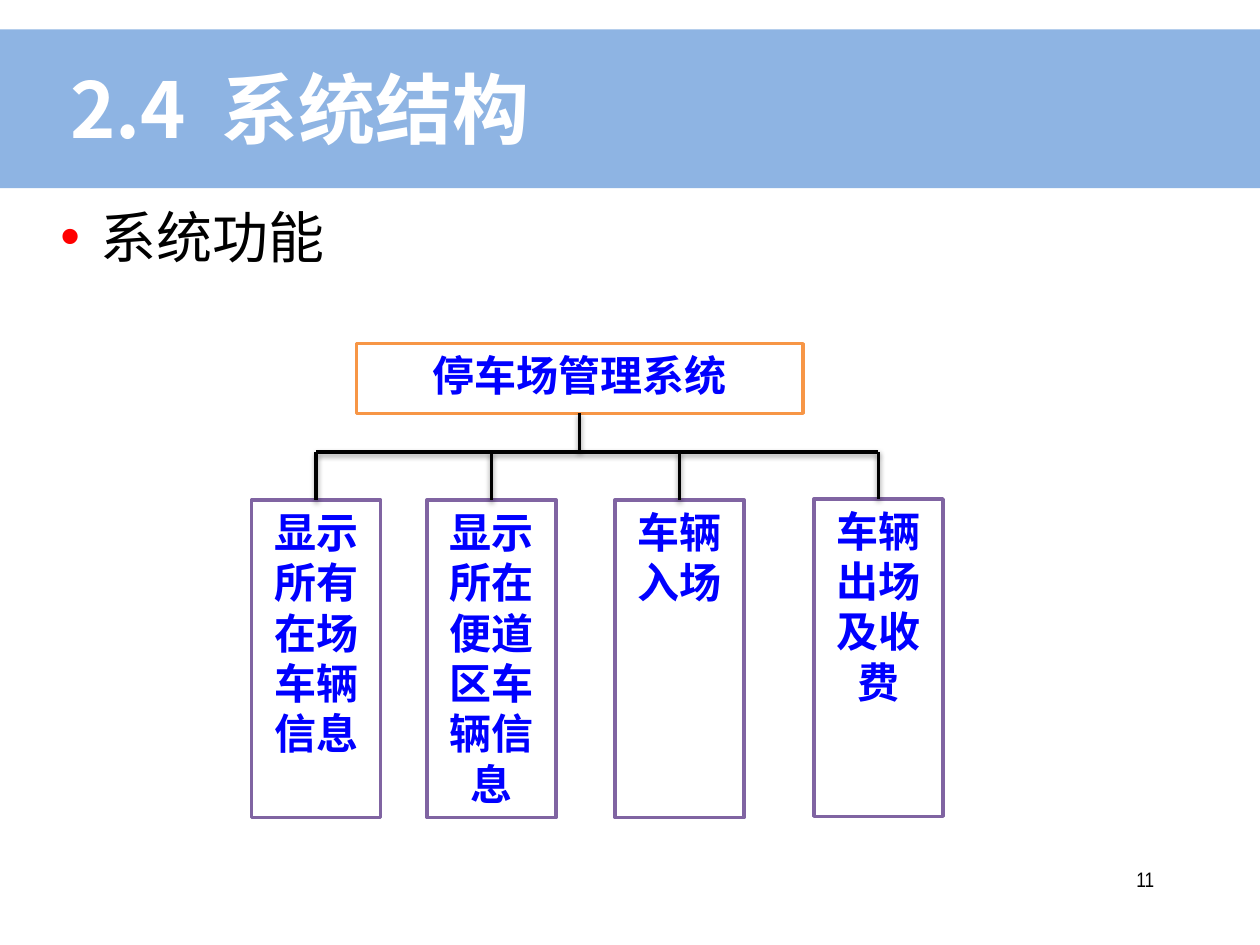
from lxml import etree
from pptx import Presentation
from pptx.dml.color import RGBColor
from pptx.enum import shapes, text
from pptx.oxml import ns
from pptx.util import Pt

WHITE = RGBColor(0xFF, 0xFF, 0xFF)
BLACK = RGBColor(0, 0, 0)
BLUE = RGBColor(0, 0, 0xFF)
BAND_BLUE = RGBColor(0x8E, 0xB4, 0xE3)
ORANGE = RGBColor(0xF7, 0x96, 0x46)
PURPLE = RGBColor(0x80, 0x64, 0xA2)
SANS = "Noto Sans CJK SC"
NARROW = "Arial Narrow"

prs = Presentation()
prs.slide_width, prs.slide_height = Pt(720), Pt(540)
slide = prs.slides.add_slide(prs.slide_layouts[6])


def add_block(left, top, width, height, fill=None, line=None):
    block = slide.shapes.add_shape(shapes.MSO_SHAPE.RECTANGLE, Pt(left), Pt(top), Pt(width), Pt(height))
    block.shadow.inherit = False
    block.fill.solid()
    block.fill.fore_color.rgb = fill
    if line is None:
        block.line.fill.background()
    else:
        block.line.color.rgb = line
        block.line.width = Pt(2)
    return block


def write(holder, parts, size, face, color, bold=False, align=text.PP_ALIGN.LEFT,
          anchor=text.MSO_ANCHOR.TOP):
    frame = holder.text_frame
    frame.word_wrap = True
    frame.vertical_anchor = anchor
    paragraph = frame.paragraphs[0]
    paragraph.alignment = align
    font = paragraph.font
    font.size, font.name, font.bold = Pt(size), face, bold
    font.color.rgb = color
    for part in parts:
        run = paragraph.add_run()
        run.text = part
        # East Asian glyphs take the same face
        etree.SubElement(run._r.get_or_add_rPr(), ns.qn("a:ea"), typeface=face)
    return paragraph


# Title band
add_block(0, 16.8, 720, 90.7, BAND_BLUE)
title = slide.shapes.add_textbox(Pt(33.8), Pt(16.6), Pt(612), Pt(90))
heading = write(title, ["2.4", " ", "系统结构"], 44, SANS, WHITE, True, anchor=text.MSO_ANCHOR.MIDDLE)
heading.runs[1]._r.rPr.set("spc", "1000")

# Bulleted topic
body = slide.shapes.add_textbox(Pt(28.1), Pt(112.3), Pt(652.3), Pt(376.6))
topic = write(body, ["系统功能"], 32, SANS, BLACK)
topic_props = topic._p.get_or_add_pPr()
topic_props.set("marL", str(Pt(23)))
topic_props.set("indent", str(Pt(-23)))
bullet_color = etree.Element(ns.qn("a:buClr"))
etree.SubElement(bullet_color, ns.qn("a:srgbClr"), val="FF0000")
bullet_font = etree.Element(ns.qn("a:buFont"), typeface="Arial")
bullet = etree.Element(ns.qn("a:buChar"), char="•")
for index, part in enumerate((bullet_color, bullet_font, bullet)):
    topic_props.insert(index, part)

# Page number
page = slide.shapes.add_textbox(Pt(609.8), Pt(491.8), Pt(56.2), Pt(36))
write(page, ["11"], 12, NARROW, BLACK, align=text.PP_ALIGN.RIGHT)

for holder in (title, body, page):
    frame = holder.text_frame
    frame.margin_left = frame.margin_right = Pt(6.5)
    frame.margin_top = frame.margin_bottom = Pt(3.2)

# Function tree: root, then (label, left, top) of each branch
BRANCH_WIDTH, BRANCH_HEIGHT = 73.8, 181.4
ROOT_CENTER, ROOT_BOTTOM, BUS = 331.2, 236.2, 258.3
branches = [
    ("显示所有在场车辆信息", 143.8, 285.8),
    ("显示所在便道区车辆信息", 244, 285.8),
    ("车辆入场", 351.4, 285.8),
    ("车辆出场及收费", 465.1, 285.1),
]
boxes = [("停车场管理系统", 203.8, 196.4, 255, 39.8, ORANGE)]
boxes += [(label, left, top, BRANCH_WIDTH, BRANCH_HEIGHT, PURPLE) for label, left, top in branches]
for label, left, top, width, height, outline in boxes:
    box = add_block(left, top, width, height, WHITE, outline)
    paragraph = write(box, [label], 24, NARROW, BLUE, True, text.PP_ALIGN.CENTER)
    paragraph.space_before = Pt(4.8)

# Connecting lines
drops = [(left + BRANCH_WIDTH / 2, top) for _, left, top in branches]
lines = [(drops[0][0], BUS, drops[-1][0], BUS), (ROOT_CENTER, ROOT_BOTTOM, ROOT_CENTER, BUS)]
lines += [(x, BUS, x, top) for x, top in drops]
for x1, y1, x2, y2 in lines:
    link = slide.shapes.add_connector(shapes.MSO_CONNECTOR.STRAIGHT, Pt(x1), Pt(y1), Pt(x2), Pt(y2))
    link.line.color.rgb = BLACK
    link.line.width = Pt(2)
    effects = etree.SubElement(link._element.spPr, ns.qn("a:effectLst"))
    shadow = etree.SubElement(effects, ns.qn("a:outerShdw"), blurRad=str(Pt(3.1)),
                              dist=str(Pt(1.6)), dir="5400000", rotWithShape="0")
    shade = etree.SubElement(shadow, ns.qn("a:srgbClr"), val="000000")
    etree.SubElement(shade, ns.qn("a:alpha"), val="38000")

prs.save("out.pptx")
